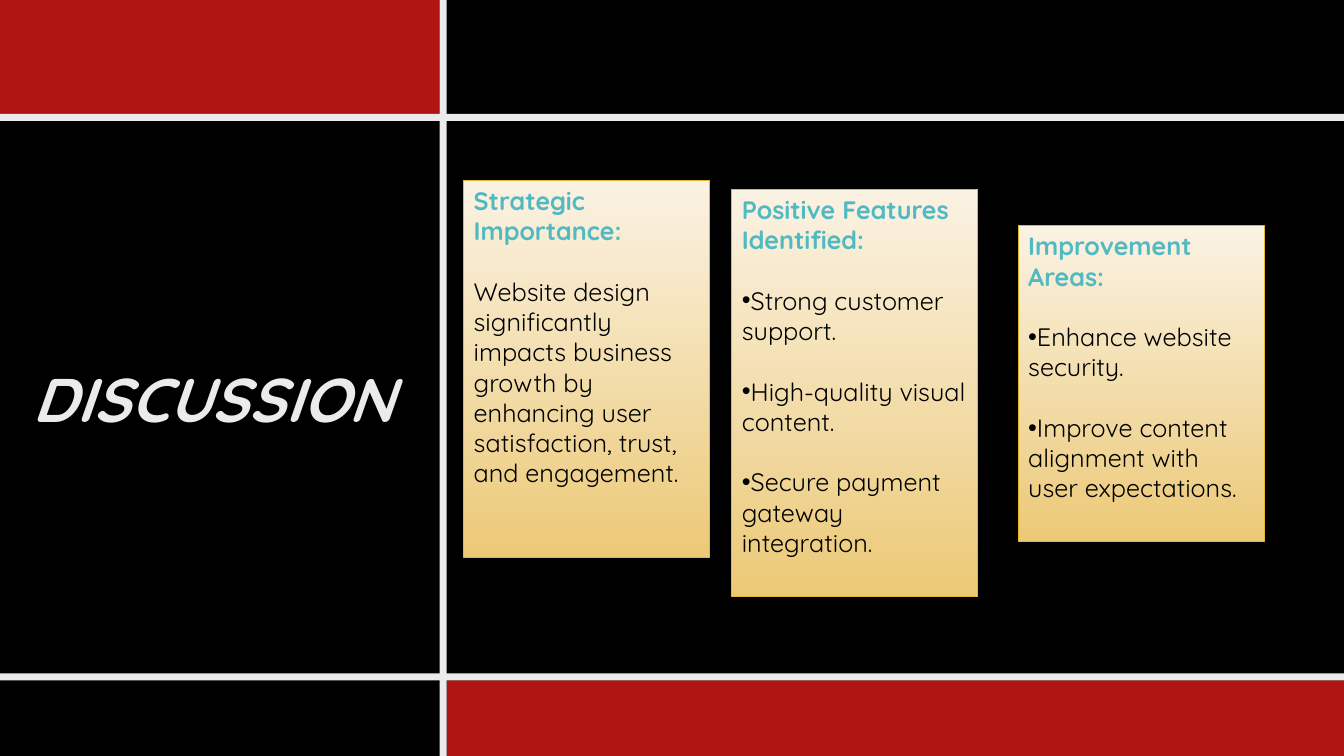
import pptx
import pptx.util
import pptx.dml.color
import pptx.enum.shapes
import pptx.enum.text
import pptx.oxml.ns
from dataclasses import dataclass
from lxml import etree

TITLE = "DISCUSSION"
CARDS = [
    dict(heading="Strategic Importance:", bulleted=False, left=4.6, top=1.79, height=3.74,
         lines=["Website design significantly impacts business growth by enhancing "
                "user satisfaction, trust, and engagement."]),
    dict(heading="Positive Features Identified:", bulleted=True, left=7.26, top=1.88, height=4.04,
         lines=["Strong customer support.",
                "High-quality visual content.",
                "Secure payment gateway integration."]),
    dict(heading="Improvement Areas:", bulleted=True, left=10.1, top=2.24, height=3.13,
         lines=["Enhance website security.",
                "Improve content alignment with user expectations."]),
]


@dataclass(frozen=True)
class Theme:
    font: str = "Quicksand"
    title_size: float = 44
    body_size: float = 18
    paragraph_gap: float = 21.6
    background: str = "000000"
    accent: str = "B01513"
    rule: str = "EBEBEB"
    heading: str = "50B9C1"
    body: str = "000000"
    card_top: str = "FAF2E3"
    card_bottom: str = "ECC977"
    card_line: str = "E6B729"


theme = Theme()
WIDTH, HEIGHT = 13.33, 7.5
RULE = 0.07
COLUMN, TOP_ROW, BOTTOM_ROW = 4.36, 1.13, 6.68
CARD_WIDTH = 2.44


def rgb(value):
    return pptx.dml.color.RGBColor.from_string(value)


def inches(*values):
    return [pptx.util.Inches(v) for v in values]


def add_rect(s, left, top, width, height):
    sp = s.shapes.add_shape(pptx.enum.shapes.MSO_SHAPE.RECTANGLE,
                            *inches(left, top, width, height))
    sp.shadow.inherit = False
    return sp


def add_band(s, left, top, width, height, color):
    sp = add_rect(s, left, top, width, height)
    sp.fill.solid()
    sp.fill.fore_color.rgb = rgb(color)
    sp.line.fill.background()


def add_run(p, text, size, color, bold=False, italic=False):
    r = p.add_run()
    r.text = text
    r.font.name = theme.font
    r.font.size = pptx.util.Pt(size)
    r.font.color.rgb = rgb(color)
    r.font.bold = bold
    r.font.italic = italic


def add_bullet(p):
    pPr = p._p.get_or_add_pPr()
    pPr.set("marL", "0")
    pPr.set("indent", "0")
    qn = pptx.oxml.ns.qn
    etree.SubElement(pPr, qn("a:buFont")).set("typeface", "Arial")
    etree.SubElement(pPr, qn("a:buChar")).set("char", "•")


def add_card(s, card):
    sp = add_rect(s, card["left"], card["top"], CARD_WIDTH, card["height"])
    sp.fill.gradient()
    sp.fill.gradient_angle = 270
    for stop, color in zip(sp.fill.gradient_stops, (theme.card_top, theme.card_bottom)):
        stop.color.rgb = rgb(color)
    sp.line.color.rgb = rgb(theme.card_line)
    sp.line.width = pptx.util.Pt(0.75)
    tf = sp.text_frame
    tf.word_wrap = True
    tf.vertical_anchor = pptx.enum.text.MSO_ANCHOR.TOP
    p = tf.paragraphs[0]
    p.alignment = pptx.enum.text.PP_ALIGN.LEFT
    add_run(p, card["heading"], theme.body_size, theme.heading, bold=True)
    for line in card["lines"]:
        p = tf.add_paragraph()
        p.alignment = pptx.enum.text.PP_ALIGN.LEFT
        p.space_before = pptx.util.Pt(theme.paragraph_gap)
        if card["bulleted"]:
            add_bullet(p)
        add_run(p, line, theme.body_size, theme.body)


def add_frame(s):
    right, below = COLUMN + RULE, BOTTOM_ROW + RULE
    add_band(s, 0, 0, COLUMN, TOP_ROW, theme.accent)
    add_band(s, right, below, WIDTH - right, HEIGHT - below, theme.accent)
    for top in (TOP_ROW, BOTTOM_ROW):
        add_band(s, 0, top, WIDTH, RULE, theme.rule)
    add_band(s, COLUMN, 0, RULE, HEIGHT, theme.rule)


def set_title(s):
    sp = s.shapes.title
    sp.left, sp.top, sp.width, sp.height = inches(0.22, 2.43, 3.84, 1.93)
    tf = sp.text_frame
    tf.word_wrap = True
    tf.auto_size = pptx.enum.text.MSO_AUTO_SIZE.NONE
    tf.vertical_anchor = pptx.enum.text.MSO_ANCHOR.BOTTOM
    p = tf.paragraphs[0]
    p.alignment = pptx.enum.text.PP_ALIGN.LEFT
    add_run(p, TITLE, theme.title_size, theme.rule, bold=True, italic=True)


def main():
    prs = pptx.Presentation()
    prs.slide_width, prs.slide_height = inches(WIDTH, HEIGHT)
    s = prs.slides.add_slide(prs.slide_layouts[5])
    s.background.fill.solid()
    s.background.fill.fore_color.rgb = rgb(theme.background)
    set_title(s)
    add_frame(s)
    for card in CARDS:
        add_card(s, card)
    prs.save("out.pptx")


if __name__ == "__main__":
    main()
